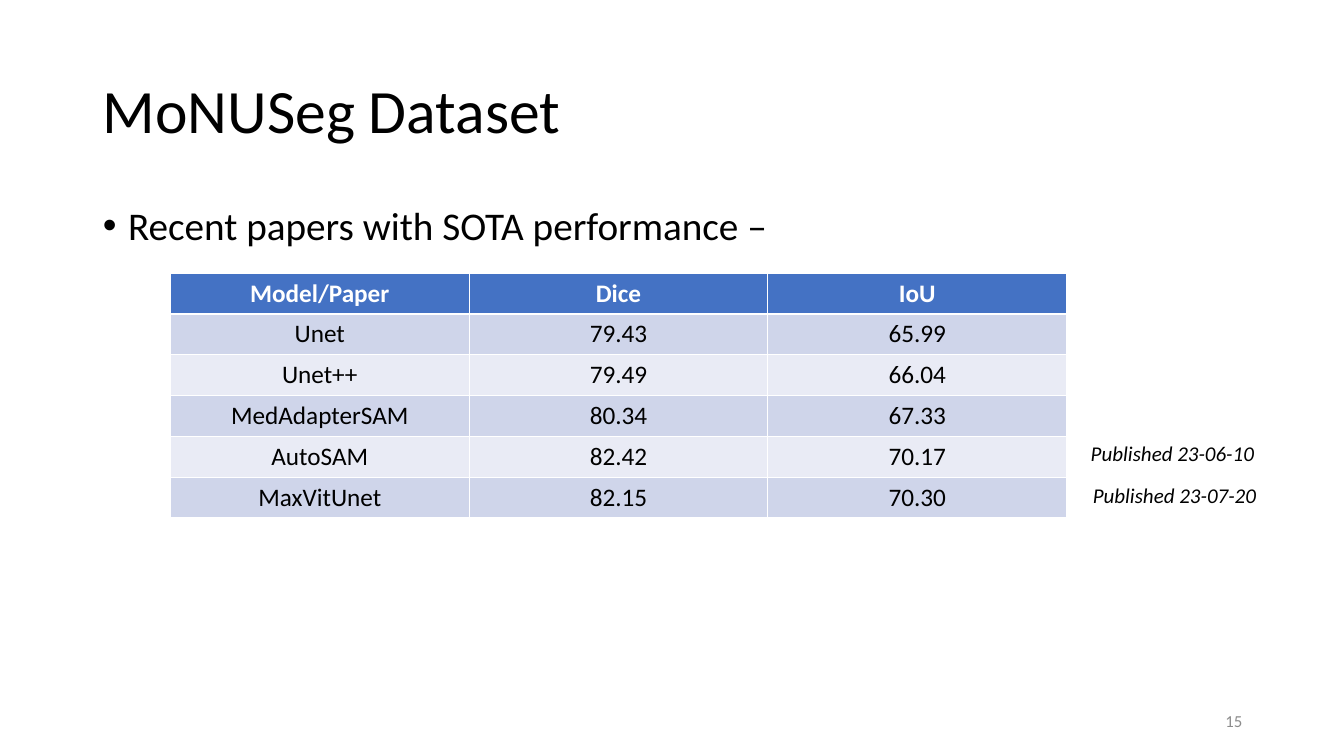
from lxml import etree
from pptx import Presentation
from pptx.dml.color import RGBColor
from pptx.enum.text import MSO_ANCHOR, MSO_AUTO_SIZE, PP_ALIGN
from pptx.oxml.ns import qn
from pptx.util import Emu, Pt

LEFT, CENTER, RIGHT = PP_ALIGN.LEFT, PP_ALIGN.CENTER, PP_ALIGN.RIGHT
TOP, MIDDLE = MSO_ANCHOR.TOP, MSO_ANCHOR.MIDDLE
NO_AUTOFIT = MSO_AUTO_SIZE.NONE

BLACK = RGBColor(0x00, 0x00, 0x00)
WHITE = RGBColor(0xFF, 0xFF, 0xFF)
GRAY = RGBColor(0x8C, 0x8C, 0x8C)
HEADER_BLUE = RGBColor(0x44, 0x72, 0xC4)
BANDS = (RGBColor(0xE9, 0xEB, 0xF5), RGBColor(0xCF, 0xD5, 0xEA))

EMU_PER_PX = 9144
SLIDE_SIZE = (1333, 750)
TITLE_BOX = (92, 40, 1150, 145)
BODY_BOX = (92, 200, 1150, 476)
TABLE_BOX = (169, 271, 889, 243)
NUMBER_BOX = (942, 695, 300, 40)
BULLET_INDENT = 25

RESULTS = [
    ("Model/Paper", "Dice", "IoU"),
    ("Unet", "79.43", "65.99"),
    ("Unet++", "79.49", "66.04"),
    ("MedAdapterSAM", "80.34", "67.33"),
    ("AutoSAM", "82.42", "70.17"),
    ("MaxVitUnet", "82.15", "70.30"),
]
PUBLICATION_NOTES = [
    ("Published 23-07-20", (1074, 474, 184, 35)),
    ("Published 23-06-10", (1072, 432, 184, 35)),
]


def px(length):
    return Emu(length * EMU_PER_PX)


class SlideBuilder:
    """Draw styled elements on one slide, with lengths in px."""

    font_name = "Calibri"

    def __init__(self, presentation):
        self.slide = presentation.slides.add_slide(presentation.slide_layouts[1])

    def set_text(self, text_frame, text, size, color=BLACK, align=LEFT, bold=False, italic=False):
        text_frame.text = text
        paragraph = text_frame.paragraphs[0]
        paragraph.alignment = align
        for run in paragraph.runs:
            font = run.font
            font.name, font.size = self.font_name, Pt(size)
            font.bold, font.italic = bold, italic
            font.color.rgb = color
        return paragraph

    def placeholder(self, shape, box, text, size, anchor):
        shape.left, shape.top, shape.width, shape.height = map(px, box)
        text_frame = shape.text_frame
        text_frame.auto_size = NO_AUTOFIT
        text_frame.vertical_anchor = anchor
        paragraph = self.set_text(text_frame, text, size)
        paragraph.line_spacing = 0.9
        return paragraph

    def title(self, text):
        self.placeholder(self.slide.shapes.title, TITLE_BOX, text, 44, MIDDLE)

    def bullet(self, text):
        paragraph = self.placeholder(self.slide.placeholders[1], BODY_BOX, text, 28, TOP)
        paragraph.space_before = Pt(10)
        properties = paragraph._p.get_or_add_pPr()
        properties.set("marL", str(px(BULLET_INDENT)))
        properties.set("indent", str(-px(BULLET_INDENT)))
        etree.SubElement(properties, qn("a:buFont")).set("typeface", "Arial")
        etree.SubElement(properties, qn("a:buChar")).set("char", "•")

    def text_box(self, box, text, size, anchor=TOP, wrap=True, **style):
        text_frame = self.slide.shapes.add_textbox(*map(px, box)).text_frame
        text_frame.word_wrap = wrap
        text_frame.vertical_anchor = anchor
        self.set_text(text_frame, text, size, **style)

    def table(self, box, rows):
        table = self.slide.shapes.add_table(len(rows), len(rows[0]), *map(px, box)).table
        for row_index, row in enumerate(rows):
            is_header = row_index == 0
            for column_index, text in enumerate(row):
                cell = table.cell(row_index, column_index)
                cell.vertical_anchor = MIDDLE
                cell.fill.solid()
                cell.fill.fore_color.rgb = HEADER_BLUE if is_header else BANDS[row_index % 2]
                color = WHITE if is_header else BLACK
                self.set_text(cell.text_frame, text, 18, color, CENTER, bold=is_header)


def main():
    presentation = Presentation()
    presentation.slide_width, presentation.slide_height = map(px, SLIDE_SIZE)
    builder = SlideBuilder(presentation)
    builder.title("MoNUSeg Dataset")
    builder.text_box(NUMBER_BOX, "15", 12, MIDDLE, color=GRAY, align=RIGHT)
    builder.bullet("Recent papers with SOTA performance –")
    builder.table(TABLE_BOX, RESULTS)
    for text, box in PUBLICATION_NOTES:
        builder.text_box(box, text, 15, wrap=False, italic=True)
    presentation.save("out.pptx")


if __name__ == "__main__":
    main()
